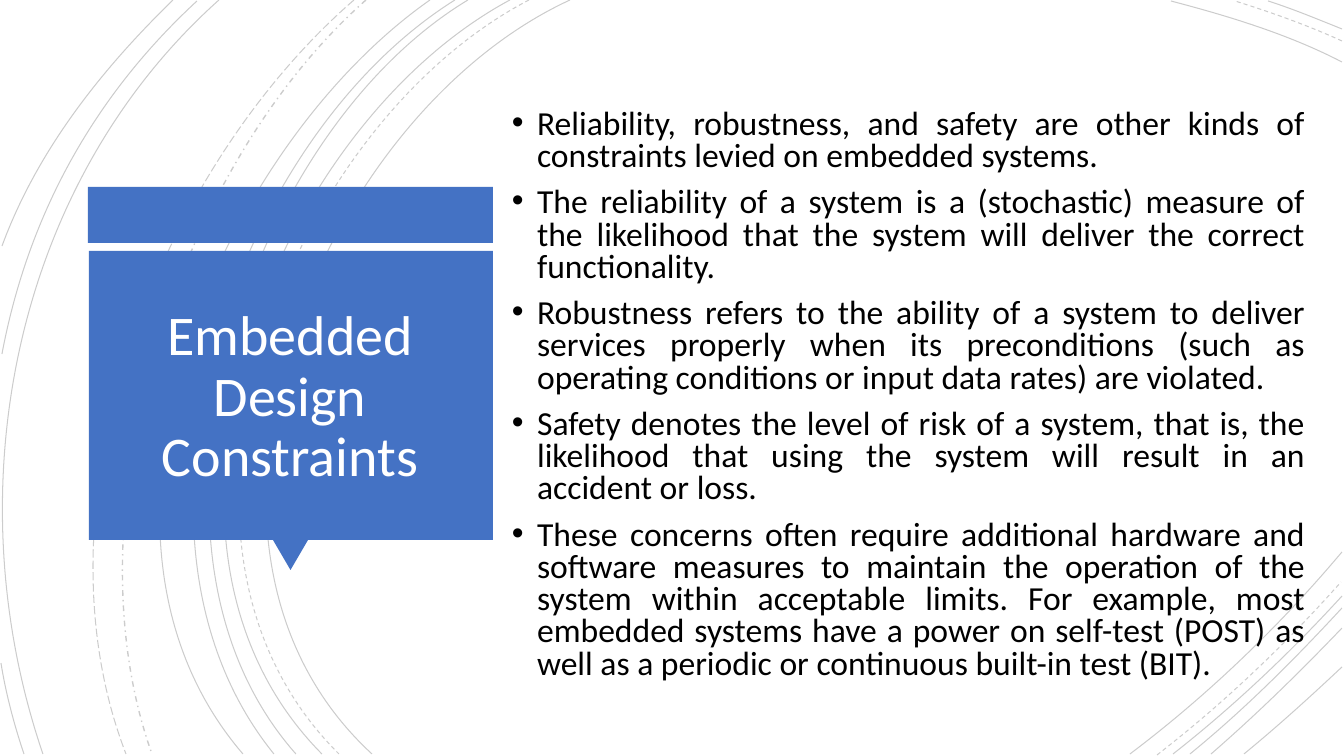
import pptx
import pptx.util
import pptx.dml.color
import pptx.enum.dml
import pptx.enum.shapes
import pptx.enum.text
import lxml.etree

PIXEL = 914400 / 100.8
SHAPES = pptx.enum.shapes.MSO_SHAPE
ALIGN = pptx.enum.text.PP_ALIGN
DASH = pptx.enum.dml.MSO_LINE
NAMESPACE = "http://schemas.openxmlformats.org/drawingml/2006/main"

SOLID_ARCS = [
    [(570, 0), (318, 116), (144, 544), (372, 754)],
    [(1342, 62), (1288, 34), (1228, 16), (1171, 1)],
    [(1130, 754), (1207, 696), (1279, 627), (1342, 552)],
    [(510, 0), (272, 128), (111, 541), (322, 754)],
    [(1342, 29), (1317, 19), (1293, 9), (1268, 1)],
    [(1173, 754), (1233, 707), (1290, 653), (1342, 596)],
    [(468, 0), (246, 134), (111, 545), (296, 754)],
    [(1190, 754), (1244, 710), (1294, 660), (1342, 608)],
    [(455, 0), (233, 139), (98, 537), (274, 754)],
    [(1211, 754), (1256, 715), (1300, 672), (1342, 628)],
    [(430, 0), (219, 148), (53, 533), (243, 754)],
    [(1244, 754), (1277, 727), (1309, 698), (1342, 667)],
    [(219, 0), (11, 186), (-46, 494), (43, 754)],
    [(197, 1), (93, 97), (28, 216), (2, 354)],
    [(1, 663), (6, 694), (14, 724), (24, 754)],
    [(173, 0), (101, 70), (37, 151), (2, 246)],
]
DASHED_ARCS = [
    [(529, 0), (287, 126), (124, 541), (339, 754)],
    [(1342, 41), (1307, 25), (1270, 12), (1235, 1)],
    [(1157, 755), (1223, 704), (1285, 645), (1341, 582)],
]
DASH_DOT_ARCS = [[(366, 0), (177, 167), (66, 513), (152, 754)]]
LONG_DASH_ARCS = [[(354, 0), (158, 170), (29, 503), (126, 754)]]
ARC_STYLES = [
    (SOLID_ARCS, DASH.SOLID, 0.75),
    (DASHED_ARCS, DASH.DASH, 0.75),
    (DASH_DOT_ARCS, DASH.DASH_DOT, 1),
    (LONG_DASH_ARCS, DASH.LONG_DASH, 0.75),
]

TITLE = "Embedded Design Constraints"
CONSTRAINTS = [
    "Reliability, robustness, and safety are other kinds of constraints levied on embedded systems.",
    "The reliability of a system is a (stochastic) measure of the likelihood that the system "
    "will deliver the correct functionality.",
    "Robustness refers to the ability of a system to deliver services properly when its "
    "preconditions (such as operating conditions or input data rates) are violated.",
    "Safety denotes the level of risk of a system, that is, the likelihood that using the "
    "system will result in an accident or loss.",
    "These concerns often require additional hardware and software measures to maintain the "
    "operation of the system within acceptable limits. For example, most embedded systems have "
    "a power on self-test (POST) as well as a periodic or continuous built-in test (BIT).",
]
TITLE_FORMAT = {"alignment": ALIGN.CENTER, "line_spacing": 0.9}
BODY_FORMAT = {"alignment": ALIGN.JUSTIFY, "line_spacing": 0.8, "space_before": pptx.util.Pt(10)}


def emu(pixels):
    return round(pixels * PIXEL)


def color(value):
    return pptx.dml.color.RGBColor.from_string(value)


def qualified(tag):
    return f"{{{NAMESPACE}}}{tag}"


def add_element(parent, tag, **attributes):
    return lxml.etree.SubElement(parent, qualified(tag), attributes)


def bend_outline(shape):
    segments = list(shape._element.iter(qualified("lnTo")))
    curve = add_element(segments[0].getparent(), "cubicBezTo")
    for segment in segments:
        curve.append(segment[0])
        segment.getparent().remove(segment)


def add_arc(slide, left, top, controls, dash, width):
    points = [(emu(left + x), emu(top + y)) for x, y in controls]
    builder = slide.shapes.build_freeform(*points[0])
    builder.add_line_segments(points[1:], close=False)
    shape = builder.convert_to_shape()
    bend_outline(shape)
    shape.shadow.inherit = False
    shape.fill.background()
    shape.line.color.rgb = color("000000")
    shape.line.width = pptx.util.Pt(width)
    shape.line.dash_style = dash
    line_color = next(shape._element.iter(qualified("srgbClr")))
    add_element(line_color, "alpha", val="20000")


def add_background(slide, left, top):
    for arcs, dash, width in ARC_STYLES:
        for controls in arcs:
            add_arc(slide, left, top, controls, dash, width)


def add_block(slide, kind, left, top, width, height, rotation=0):
    shape = slide.shapes.add_shape(kind, emu(left), emu(top), emu(width), emu(height))
    shape.shadow.inherit = False
    shape.rotation = rotation
    shape.fill.solid()
    shape.fill.fore_color.rgb = color("4472C4")
    shape.line.fill.background()


def add_text(slide, left, top, width, height, texts, size, text_color, paragraph_format):
    box = slide.shapes.add_textbox(emu(left), emu(top), emu(width), emu(height))
    frame = box.text_frame
    frame.word_wrap = True
    frame.vertical_anchor = pptx.enum.text.MSO_ANCHOR.MIDDLE
    frame.text = "\n".join(texts)
    for paragraph in frame.paragraphs:
        for name, value in paragraph_format.items():
            setattr(paragraph, name, value)
        font = paragraph.runs[0].font
        font.name = "Calibri"
        font.size = pptx.util.Pt(size)
        font.color.rgb = color(text_color)
    return frame


def add_title_panel(slide, left, top, width, height):
    add_block(slide, SHAPES.RECTANGLE, left, top, width, 56)
    add_block(slide, SHAPES.ISOSCELES_TRIANGLE, left + 185, top + height - 30, 35, 30, 180)
    add_block(slide, SHAPES.RECTANGLE, left + 1, top + 64, width - 1, height - 94)
    add_text(slide, left + 12, top + 79, width - 25, 264, [TITLE], 40, "FFFFFF", TITLE_FORMAT)


def add_body(slide, left, top, width, height):
    frame = add_text(slide, left, top, width, height, CONSTRAINTS, 24, "000000", BODY_FORMAT)
    indent = pptx.util.Inches(0.25)
    for paragraph in frame.paragraphs:
        properties = paragraph._p.get_or_add_pPr()
        properties.set("marL", str(indent))
        properties.set("indent", str(-indent))
        add_element(properties, "buFont", typeface="Arial")
        add_element(properties, "buChar", char="•")


presentation = pptx.Presentation()
presentation.slide_width = emu(1344)
presentation.slide_height = emu(756)
slide = presentation.slides.add_slide(presentation.slide_layouts[6])
add_background(slide, 0, 0)
add_title_panel(slide, 88, 187, 405, 383)
add_body(slide, 502, 89, 813, 613)
presentation.save("out.pptx")
